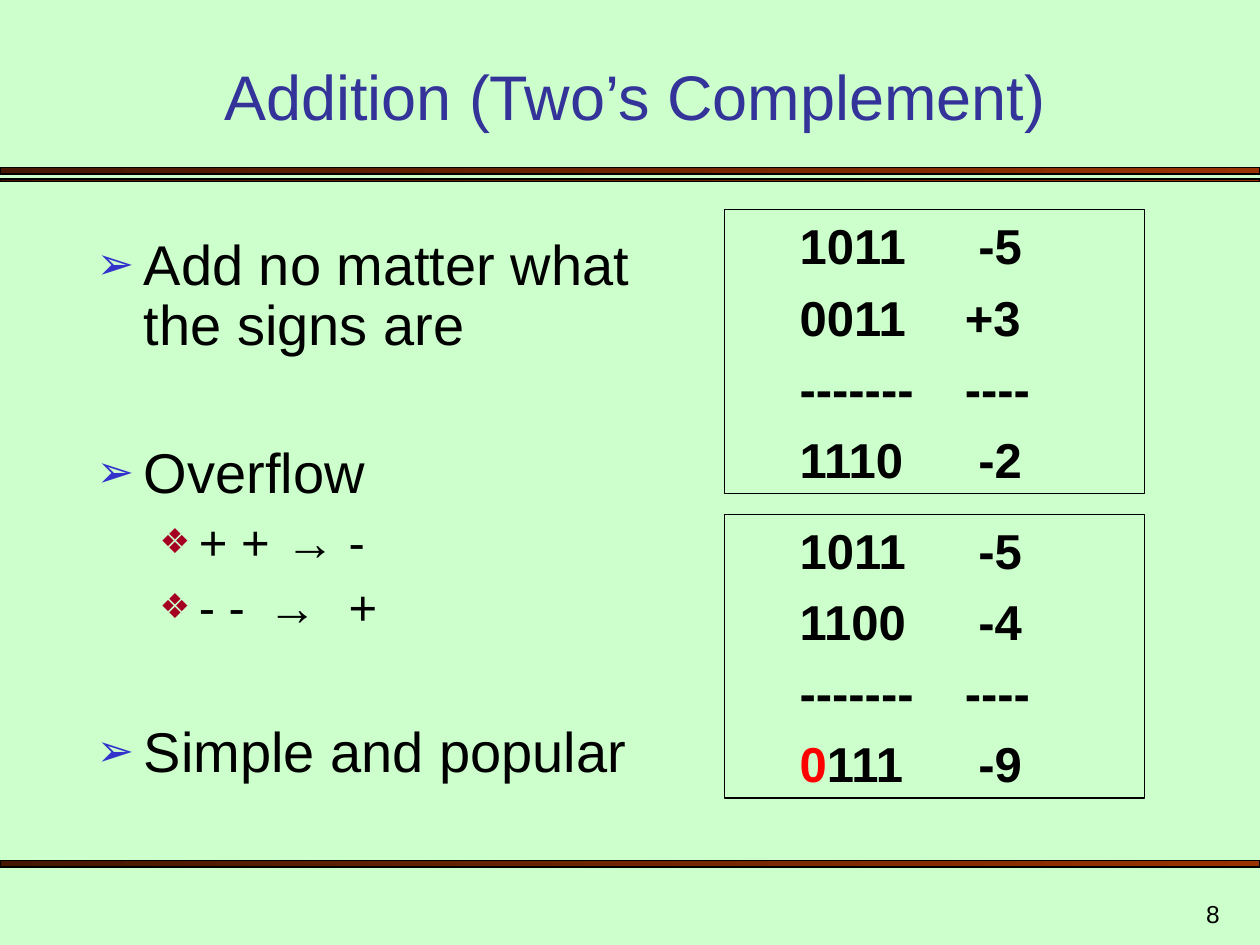
from dataclasses import dataclass

from lxml import etree
from pptx import Presentation
from pptx import util as u
from pptx.dml.color import RGBColor
from pptx.enum import shapes, text
from pptx.oxml.ns import qn


@dataclass(frozen=True)
class Theme:
    font: str = "Arial"
    background: str = "CCFFCC"
    title: str = "333399"
    ink: str = "000000"
    alert: str = "FF0000"
    bar_light: str = "993300"
    bar_dark: str = "461700"
    bullet: str = "3333CC"
    sub_bullet: str = "A50021"
    title_size: int = 36
    body_size: int = 32
    sub_size: int = 28
    number_size: int = 14


theme = Theme()


def add_run(p, words, size, color=theme.ink, bold=False):
    r = p.add_run()
    r.text = words
    r.font.name = theme.font
    r.font.size = u.Pt(size)
    r.font.bold = bold
    r.font.color.rgb = RGBColor.from_string(color)


def format_paragraph(p, margin, indent, tabs=(), bullet=None, color=None, percent=100):
    pPr = p._p.get_or_add_pPr()
    pPr.set("marL", str(u.Cm(margin)))
    pPr.set("indent", str(u.Cm(indent)))
    if bullet:
        clr = etree.SubElement(pPr, qn("a:buClr"))
        etree.SubElement(clr, qn("a:srgbClr"), val=color)
        etree.SubElement(pPr, qn("a:buSzPct"), val=str(percent * 1000))
        etree.SubElement(pPr, qn("a:buFont"), typeface=theme.font)
        etree.SubElement(pPr, qn("a:buChar"), char=bullet)
    else:
        etree.SubElement(pPr, qn("a:buNone"))
    if tabs:
        stops = etree.SubElement(pPr, qn("a:tabLst"))
        for pos in tabs:
            etree.SubElement(stops, qn("a:tab"), pos=str(u.Cm(pos)), algn="l")


prs = Presentation()
prs.slide_width, prs.slide_height = u.Cm(25.4), u.Cm(19.05)
s = prs.slides.add_slide(prs.slide_layouts[6])
s.background.fill.solid()
s.background.fill.fore_color.rgb = RGBColor.from_string(theme.background)

for top, height in [(3.38, 0.13), (3.61, 0.05), (17.35, 0.13)]:
    sp = s.shapes.add_shape(
        shapes.MSO_SHAPE.RECTANGLE, 0, u.Cm(top), prs.slide_width, u.Cm(height))
    sp.shadow.inherit = False
    sp.fill.gradient()
    sp.fill.gradient_angle = 180
    for stop, color in zip(sp.fill.gradient_stops, (theme.bar_light, theme.bar_dark)):
        stop.color.rgb = RGBColor.from_string(color)
    sp.line.color.rgb = RGBColor.from_string(theme.ink)
    sp.line.width = u.Pt(0.75)

labels = [
    ("Addition (Two’s Complement)", (1.47, 1.07, 22.66, 1.73),
     text.PP_ALIGN.CENTER, theme.title_size, theme.title),
    ("8", (19.56, 17.78, 5.28, 1.07),
     text.PP_ALIGN.RIGHT, theme.number_size, theme.ink),
]
for words, place, align, size, color in labels:
    tf = s.shapes.add_textbox(*map(u.Cm, place)).text_frame
    tf.word_wrap = True
    tf.vertical_anchor = text.MSO_ANCHOR.BOTTOM
    p = tf.paragraphs[0]
    p.alignment = align
    add_run(p, words, size, color)

points = [
    (0, "Add no matter what the signs are", 0),
    (0, "Overflow", 50),
    (1, "+ +\t→\t-", 7),
    (1, "- \t-\t→\t+", 7),
    (0, "Simple and popular", 50),
]
points[3] = (1, "- -\t→\t+", 7)
tf = s.shapes.add_textbox(u.Cm(1.7), u.Cm(4.65), u.Cm(12.07), u.Cm(11.43)).text_frame
tf.word_wrap = True
for i, (level, words, before) in enumerate(points):
    p = tf.add_paragraph() if i else tf.paragraphs[0]
    p.level = level
    p.line_spacing = 0.9
    p.space_before = u.Pt(before)
    if level:
        format_paragraph(p, 2.06, -0.79, (2.05, 3.45), "❖", theme.sub_bullet, 70)
    else:
        format_paragraph(p, 0.95, -0.95, (), "➢", theme.bullet, 80)
    add_run(p, words, theme.sub_size if level else theme.body_size)

sums = [
    [("1011", " -5"), ("0011", "+3"), ("-------", "----"), ("1110", " -2")],
    [("1011", " -5"), ("1100", " -4"), ("-------", "----"), ("0111", " -9")],
]
overflow_result = "0111"
for n, rows in enumerate(sums):
    sp = s.shapes.add_shape(
        shapes.MSO_SHAPE.RECTANGLE, u.Cm(14.6), u.Cm(4.23 + 6.14 * n), u.Cm(8.47), u.Cm(5.72))
    sp.shadow.inherit = False
    sp.fill.background()
    sp.line.color.rgb = RGBColor.from_string(theme.ink)
    sp.line.width = u.Pt(0.75)
    tf = sp.text_frame
    tf.word_wrap = True
    tf.vertical_anchor = text.MSO_ANCHOR.TOP
    for i, (binary, decimal) in enumerate(rows):
        p = tf.add_paragraph() if i else tf.paragraphs[0]
        p.level = 1
        p.alignment = text.PP_ALIGN.LEFT
        p.space_before = u.Pt(7 if i else 0)
        format_paragraph(p, 2.06, -0.79, (2.54,))
        line = f"{binary}\t{decimal}"
        if binary == overflow_result:
            add_run(p, line[0], theme.sub_size, theme.alert, True)
            line = line[1:]
        add_run(p, line, theme.sub_size, bold=True)

prs.save("out.pptx")
